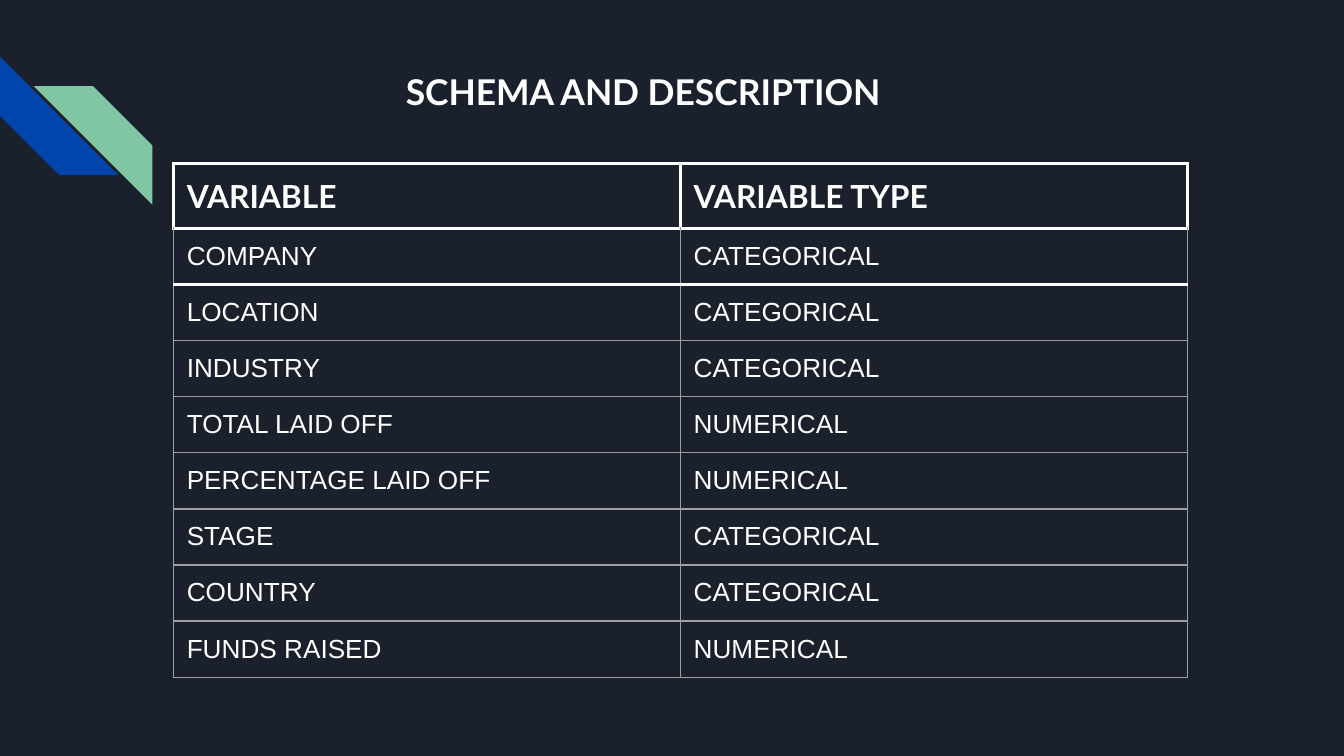
from lxml import etree
from pptx import Presentation
from pptx.dml.color import RGBColor
from pptx.enum.shapes import MSO_SHAPE
from pptx.enum.text import MSO_ANCHOR, PP_ALIGN
from pptx.oxml.ns import qn
from pptx.util import Cm, Pt

STRIPE = MSO_SHAPE.DIAGONAL_STRIPE
TOP = MSO_ANCHOR.TOP
LEFT = PP_ALIGN.LEFT
COLORS = {"navy": "1B212C", "blue": "0145AC", "green": "82C7A5",
          "white": "FFFFFF", "grey": "9E9E9E"}
INSET = Cm(0.25)


def write(frame, text, font="Arial", size=14, bold=False):
    """Put one left-aligned white line of text into a text frame."""
    para = frame.paragraphs[0]
    para.alignment = LEFT
    span = para.add_run()
    span.text = text
    span.font.name = font
    span.font.size = Pt(size)
    span.font.bold = bold
    span.font.color.rgb = RGBColor.from_string(COLORS["white"])


def set_borders(cell, **sides):
    """Draw the cell's L, R, T and B borders, each given as (color, points)."""
    properties = cell._tc.get_or_add_tcPr()
    for place, side in enumerate("LRTB"):
        color, points = sides[side]
        line = etree.Element(qn(f"a:ln{side}"), w=str(Pt(points)))
        fill = etree.SubElement(line, qn("a:solidFill"))
        etree.SubElement(fill, qn("a:srgbClr"), val=COLORS[color])
        properties.insert(place, line)


deck = Presentation()
deck.slide_width, deck.slide_height = Cm(25.4), Cm(14.29)
page = deck.slides.add_slide(deck.slide_layouts[5])
page.background.fill.solid()
page.background.fill.fore_color.rgb = RGBColor.from_string(COLORS["navy"])

# Corner stripes
for left, top, rotation, color in [(0, 1.07, 270, "blue"), (0.64, 1.63, 90, "green")]:
    stripe = page.shapes.add_shape(STRIPE, Cm(left), Cm(top), Cm(2.24), Cm(2.24))
    stripe.rotation = rotation
    stripe.adjustments[0] = 0.5
    stripe.shadow.inherit = False
    stripe.fill.solid()
    stripe.fill.fore_color.rgb = RGBColor.from_string(COLORS[color])
    stripe.line.fill.background()

# Title
title = page.shapes.title
title.left, title.top, title.width, title.height = Cm(7.42), Cm(1.07), Cm(16.66), Cm(1.32)
frame = title.text_frame
frame.word_wrap = True
frame.vertical_anchor = TOP
frame.margin_left = frame.margin_right = frame.margin_top = frame.margin_bottom = INSET
write(frame, "SCHEMA AND DESCRIPTION", font="Lato", size=19, bold=True)

# Schema table
schema = [
    ("VARIABLE", "VARIABLE TYPE"),
    ("COMPANY", "CATEGORICAL"),
    ("LOCATION", "CATEGORICAL"),
    ("INDUSTRY", "CATEGORICAL"),
    ("TOTAL LAID OFF", "NUMERICAL"),
    ("PERCENTAGE LAID OFF", "NUMERICAL"),
    ("STAGE", "CATEGORICAL"),
    ("COUNTRY", "CATEGORICAL"),
    ("FUNDS RAISED", "NUMERICAL"),
]
header_height, row_height, column_width = 1.23, 1.06, 9.58
table = page.shapes.add_table(
    len(schema), 2, Cm(3.28), Cm(3.09), Cm(2 * column_width),
    Cm(header_height + row_height * (len(schema) - 1))).table
table.first_row = table.horz_banding = False
for column in table.columns:
    column.width = Cm(column_width)

thick, thin = ("white", 1.5), ("grey", 0.75)
for number, words in enumerate(schema):
    is_header = number == 0
    table.rows[number].height = Cm(header_height if is_header else row_height)
    side = thick if is_header else thin
    above = thick if number <= 2 else thin
    below = thick if number <= 1 else thin
    for cell, word in zip(table.rows[number].cells, words):
        cell.fill.background()
        cell.vertical_anchor = TOP
        cell.margin_left = cell.margin_right = cell.margin_top = cell.margin_bottom = INSET
        set_borders(cell, L=side, R=side, T=above, B=below)
        if is_header:
            write(cell.text_frame, word, font="Lato", size=17, bold=True)
        else:
            write(cell.text_frame, word)

deck.save("out.pptx")
